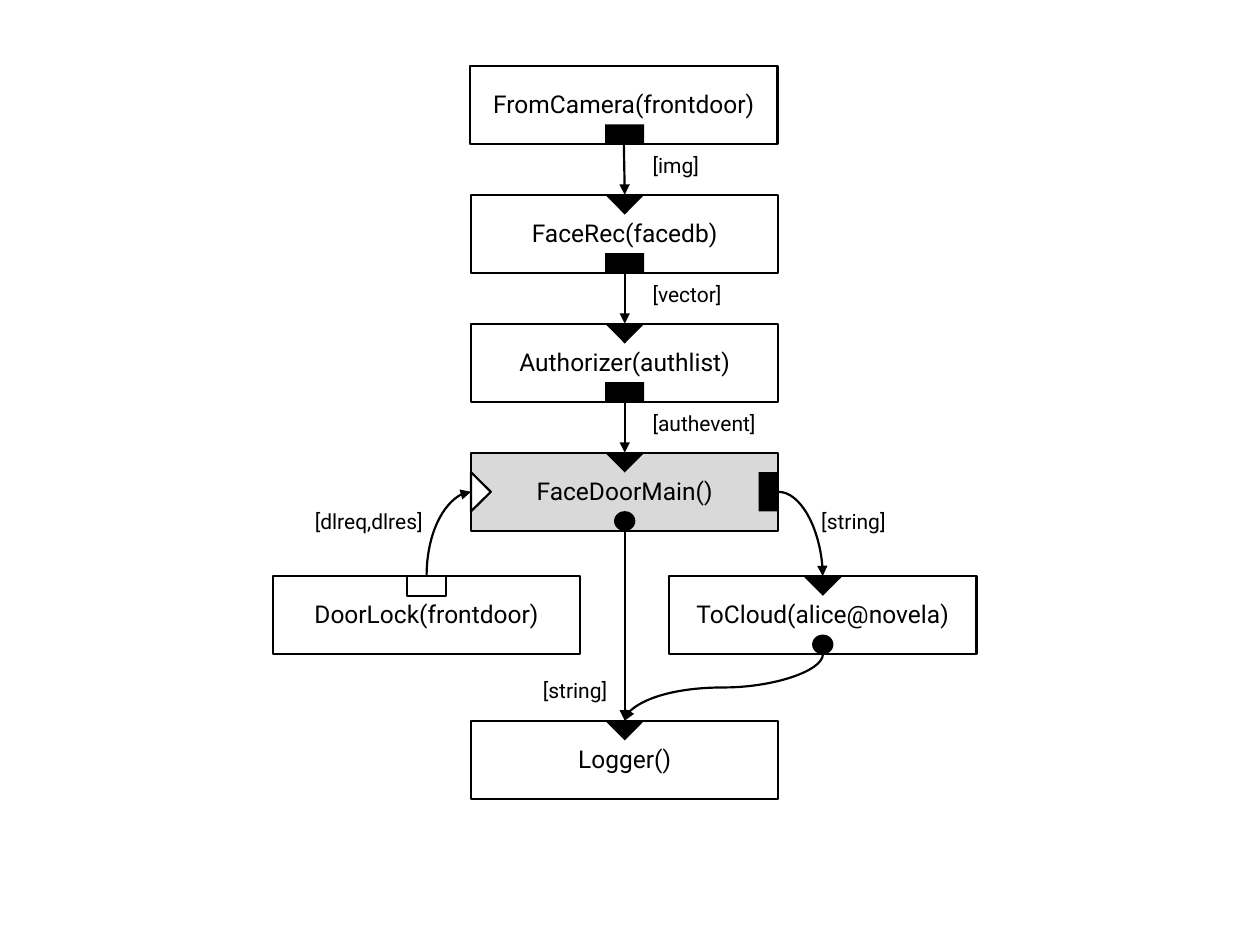
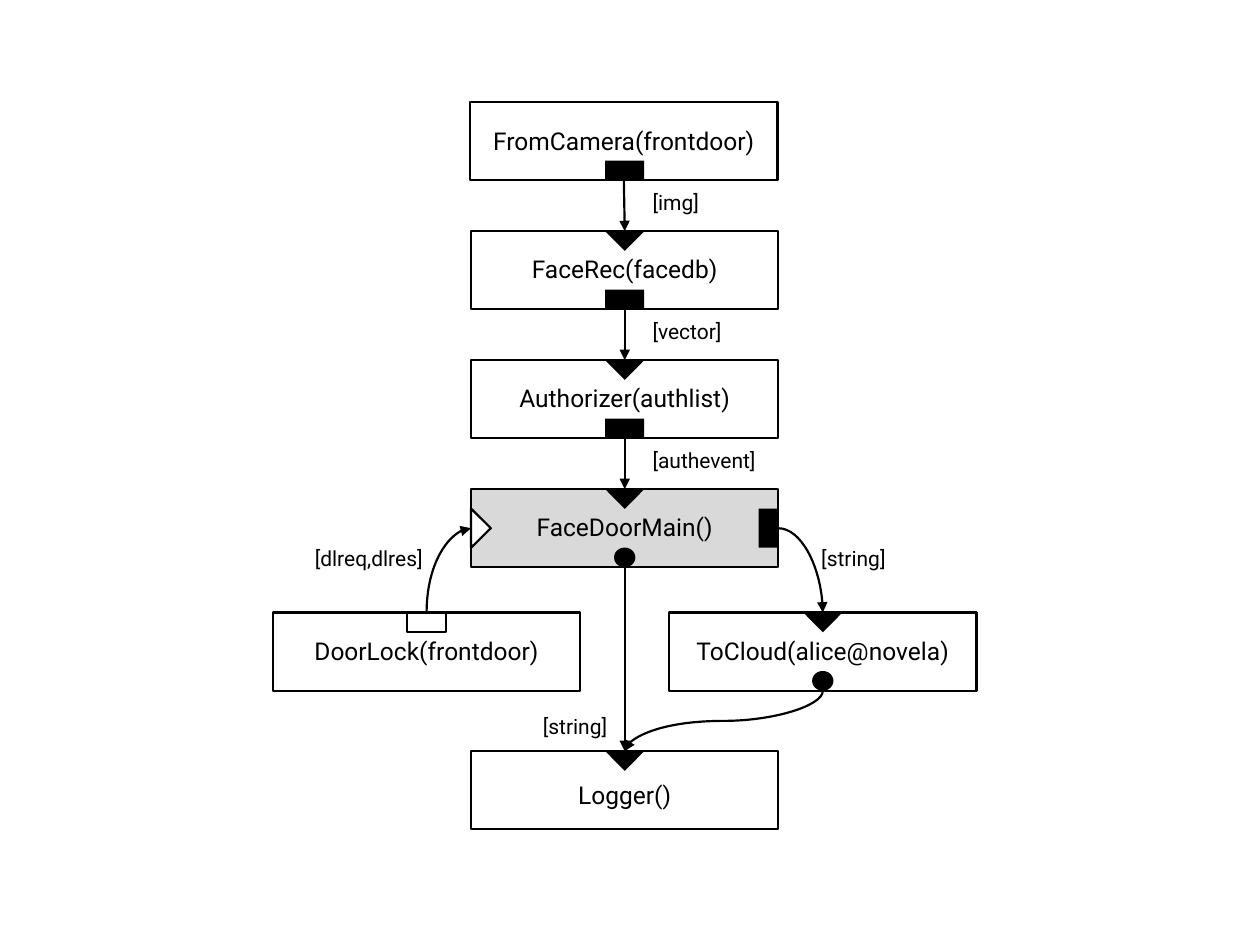
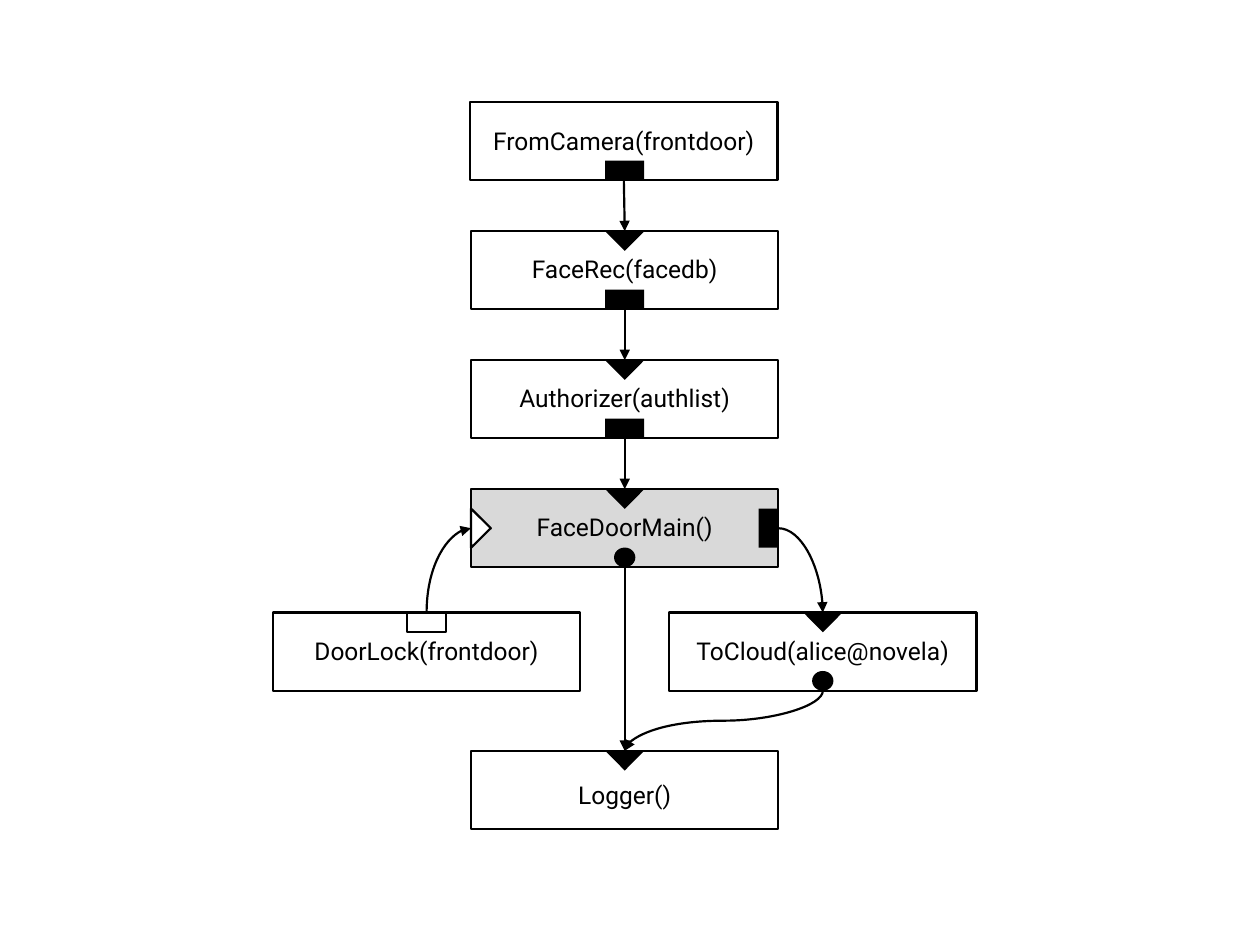
"""Builds three versions of a dataflow diagram for a face-recognition door lock."""
import pptx
import pptx.dml.color
import pptx.enum.shapes
import pptx.enum.text
import pptx.oxml
import pptx.oxml.ns
import pptx.util

Pt = pptx.util.Pt
RGBColor = pptx.dml.color.RGBColor
SHAPE = pptx.enum.shapes.MSO_SHAPE
CONNECTOR = pptx.enum.shapes.MSO_CONNECTOR
ALIGN = pptx.enum.text.PP_ALIGN

BLACK = RGBColor(0x00, 0x00, 0x00)
WHITE = RGBColor(0xFF, 0xFF, 0xFF)
GRAY = RGBColor(0xD9, 0xD9, 0xD9)
FONT = "Roboto"
LINE = 1.25

BOX_W, BOX_H = 175.7, 44.7
PORT_LONG, PORT_SHORT = 22.4, 11.3
DOT_W = 12.2
CENTER, SIDE = 357, 113.2
PITCH, LOWER = 73.7, 291.6
NAME_TOP, NAME_H = 9.8, 24.5
LOGGER_NAME = 384
LABEL_H = 21.6

# name: (text, centre x, top below the first box, fill)
NODES = {
    "camera": ("FromCamera(frontdoor)", CENTER - 0.5, 0, None),
    "facerec": ("FaceRec(facedb)", CENTER, PITCH, None),
    "authorizer": ("Authorizer(authlist)", CENTER, 2 * PITCH, None),
    "main": ("FaceDoorMain()", CENTER, 3 * PITCH, GRAY),
    "doorlock": ("DoorLock(frontdoor)", CENTER - SIDE, LOWER, None),
    "cloud": ("ToCloud(alice@novela)", CENTER + SIDE, LOWER, None),
    "logger": ("Logger()", CENTER, None, None),
}
PORTS = [
    ("camera", "bottom", "push"), ("facerec", "bottom", "push"),
    ("authorizer", "bottom", "push"), ("main", "right", "push"),
    ("facerec", "top", "input"), ("authorizer", "top", "input"),
    ("main", "top", "input"), ("cloud", "top", "input"),
    ("logger", "top", "input"), ("main", "bottom", "log"),
    ("cloud", "bottom", "log"), ("main", "left", "service"),
    ("doorlock", "top", "request"),
]
WIRES = [
    ("camera", "bottom", "facerec", "top", None),
    ("facerec", "bottom", "authorizer", "top", None),
    ("authorizer", "bottom", "main", "top", None),
    ("main", "bottom", "logger", "top", None),
    ("main", "right", "cloud", "top", "curvedConnector2"),
    ("doorlock", "top", "main", "left", "curvedConnector2"),
    ("cloud", "bottom", "logger", "top", "curvedConnector3"),
]
# text, left, top below the first box, width
LABELS = [
    ("[img]", 365.8, 46.3, 62.6),
    ("[vector]", 365.8, 46.3 + PITCH, 96.5),
    ("[authevent]", 365.8, 46.3 + 2 * PITCH, 96.5),
    ("[dlreq,dlres]", 172.8, 249.6, 96.5),
    ("[string]", 462.2, 249.6, 57),
    ("[string]", 303.1, 345.8, 96.5),
]
# top of the first box, top of the logger below it, labels shown
SLIDES = [(37.6, 374.2, True), (58.4, 370.8, True), (58.4, 370.6, False)]


def add_shape(slide, kind, x, y, w, h, fill=None, outlined=True):
    sp = slide.shapes.add_shape(kind, Pt(x), Pt(y), Pt(w), Pt(h))
    sp.shadow.inherit = False
    if fill is None:
        sp.fill.background()
    else:
        sp.fill.solid()
        sp.fill.fore_color.rgb = fill
    if outlined:
        sp.line.color.rgb = BLACK
        sp.line.width = Pt(LINE)
    else:
        sp.line.fill.background()
    return sp


def add_text(slide, text, x, y, w, h, size, align=ALIGN.LEFT):
    tf = slide.shapes.add_textbox(Pt(x), Pt(y), Pt(w), Pt(h)).text_frame
    tf.word_wrap = True
    p = tf.paragraphs[0]
    p.text = text
    p.alignment = align
    p.font.name = FONT
    p.font.size = Pt(size)
    p.font.color.rgb = BLACK


def edge(node, side):
    x, y = node
    return {
        "top": (x, y),
        "bottom": (x, y + BOX_H),
        "left": (x - BOX_W / 2, y + BOX_H / 2),
        "right": (x + BOX_W / 2, y + BOX_H / 2),
    }[side]


def add_port(slide, point, side, role):
    x, y = point
    dx, dy = {"top": (0, 1), "bottom": (0, -1), "left": (1, 0), "right": (-1, 0)}[side]
    cx, cy = x + dx * PORT_SHORT / 2, y + dy * PORT_SHORT / 2
    w, h = PORT_LONG, PORT_SHORT
    kind, rotation = SHAPE.RECTANGLE, 0
    if role in ("input", "service"):
        kind, rotation = SHAPE.ISOSCELES_TRIANGLE, 180 if side == "top" else 90
    elif role == "log":
        kind, w = SHAPE.OVAL, DOT_W
    elif dx:
        w, h = h, w
    hollow = role in ("service", "request")
    sp = add_shape(slide, kind, cx - w / 2, cy - h / 2, w, h, WHITE if hollow else BLACK, hollow)
    sp.rotation = rotation


def add_wire(slide, start, end, curve, turned):
    kind = CONNECTOR.CURVE if curve else CONNECTOR.STRAIGHT
    if turned:
        cx, cy = (start[0] + end[0]) / 2, (start[1] + end[1]) / 2
        start, end = [(cx + y - cy, cy - x + cx) for x, y in (start, end)]
    c = slide.shapes.add_connector(kind, *[Pt(v) for v in (*start, *end)])
    c.line.color.rgb = BLACK
    c.line.width = Pt(LINE)
    props = c._element.spPr
    qn = pptx.oxml.ns.qn
    if turned:
        props.find(qn("a:xfrm")).set("rot", "5400000")
    if curve:
        props.find(qn("a:prstGeom")).set("prst", curve)
    ns = pptx.oxml.ns.nsdecls("a")
    props.find(qn("a:ln")).append(pptx.oxml.parse_xml(f'<a:tailEnd {ns} type="triangle"/>'))
    props.append(pptx.oxml.parse_xml(f"<a:effectLst {ns}/>"))


def build_slide(prs, top, logger_top, labelled):
    slide = prs.slides.add_slide(prs.slide_layouts[6])
    places = {}
    for key, (text, x, below, fill) in NODES.items():
        y = top + (logger_top if below is None else below)
        name_y = top + LOGGER_NAME if below is None else y + NAME_TOP
        places[key] = (x, y)
        left = x - BOX_W / 2
        add_shape(slide, SHAPE.RECTANGLE, left, y, BOX_W, BOX_H, fill)
        add_text(slide, text, left, name_y, BOX_W, NAME_H, 14, ALIGN.CENTER)
    for key, side, role in PORTS:
        x, y = edge(places[key], side)
        add_port(slide, (CENTER if key == "camera" else x, y), side, role)
    for source, out, target, into, curve in WIRES:
        turned = bool(curve) and out in ("top", "bottom")
        add_wire(slide, edge(places[source], out), edge(places[target], into), curve, turned)
    if labelled:
        for text, x, below, w in LABELS:
            add_text(slide, text, x, top + below, w, LABEL_H, 12)


def main():
    prs = pptx.Presentation()
    prs.slide_width, prs.slide_height = Pt(720), Pt(540)
    for top, logger_top, labelled in SLIDES:
        build_slide(prs, top, logger_top, labelled)
    prs.save("out.pptx")


if __name__ == "__main__":
    main()
